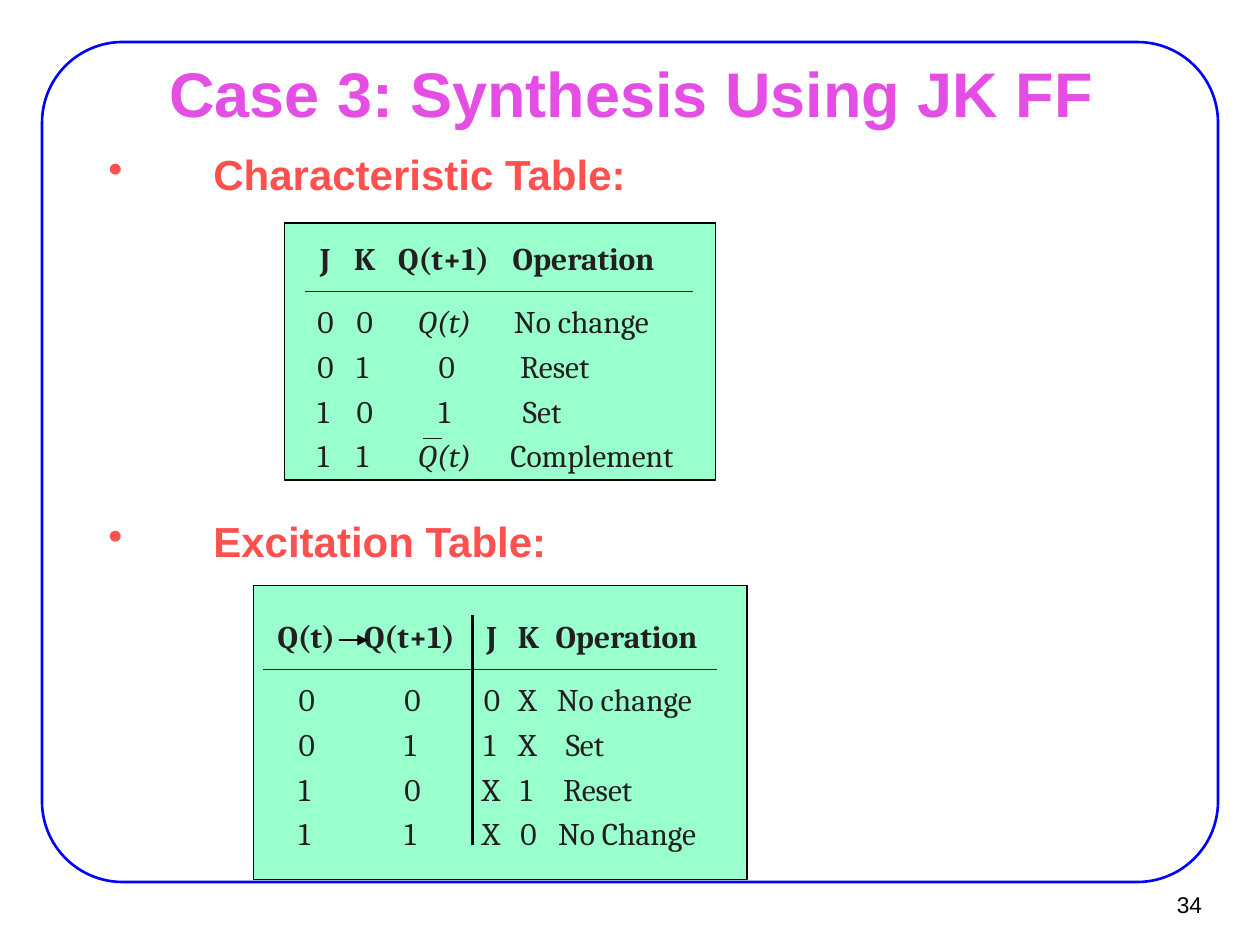
from lxml import etree
from pptx import Presentation
from pptx.dml.color import RGBColor
from pptx.enum.shapes import MSO_CONNECTOR, MSO_SHAPE
from pptx.enum.text import MSO_ANCHOR, MSO_AUTO_SIZE, PP_ALIGN
from pptx.oxml.ns import qn
from pptx.util import Pt

LEFT, CENTER, RIGHT = PP_ALIGN.LEFT, PP_ALIGN.CENTER, PP_ALIGN.RIGHT
TOP, MIDDLE = MSO_ANCHOR.TOP, MSO_ANCHOR.MIDDLE
FIT = MSO_AUTO_SIZE.SHAPE_TO_FIT_TEXT
RECT, ROUND = MSO_SHAPE.RECTANGLE, MSO_SHAPE.ROUNDED_RECTANGLE
STRAIGHT = MSO_CONNECTOR.STRAIGHT

BLUE = RGBColor(0x00, 0x00, 0xFF)
BLACK = RGBColor(0x00, 0x00, 0x00)
PINK = RGBColor(0xE4, 0x4E, 0xE4)
RED = RGBColor(0xFF, 0x50, 0x50)
MINT = RGBColor(0x99, 0xFF, 0xCC)
INK = RGBColor(0x23, 0x1F, 0x20)

# Symbols are centred in their column; words have a width and an indent
WIDTH = {"0": 10, "1": 10, "X": 12.4, "J": 7.2, "K": 13,
         "Q(t)": 34, "Q(t+1)": 56}
WORDS = {"Operation": (93, 0), "No change": (90, 0.7), "No Change": (92, 1.4),
         "Reset": (45, 4.3), "Set": (26, 5.8), "Complement": (109, -1.4)}
HEAD_GAP, ROW_GAP = 36, 25.5

# Column positions: middle of each symbol column, left of the last one
CHAR_COLS = (186.4, 208.8, 255.6, 293)
CHAR_ROWS = (
    ("J", "K", "Q(t+1)", "Operation"),
    ("0", "0", "Q(t)", "No change"),
    ("0", "1", "0", "Reset"),
    ("1", "0", "1", "Set"),
    ("1", "1", "Q(t)", "Complement"),
)
EXC_COLS = (175.6, 236.1, 281.5, 302.4, 317.5)
EXC_ROWS = (
    ("Q(t)", "Q(t+1)", "J", "K", "Operation"),
    ("0", "0", "0", "X", "No change"),
    ("0", "1", "1", "X", "Set"),
    ("1", "0", "X", "1", "Reset"),
    ("1", "1", "X", "0", "No Change"),
)


def write(shape, text, size=18, font="Cambria", color=INK, bold=False,
          italic=False, align=LEFT, anchor=TOP, inset=(0, 0), wrap=False,
          space=None, bullet=False):
    frame = shape.text_frame
    frame.word_wrap = wrap
    frame.vertical_anchor = anchor
    frame.margin_left = frame.margin_right = Pt(inset[0])
    frame.margin_top = frame.margin_bottom = Pt(inset[1])
    para = frame.paragraphs[0]
    para.alignment = align
    if space:
        para.line_spacing = space
    if bullet:
        props = para._p.get_or_add_pPr()
        props.set("marL", str(Pt(60)))
        props.set("indent", str(-Pt(60)))
        tint = etree.SubElement(props, qn("a:buClr"))
        etree.SubElement(tint, qn("a:srgbClr"), val=str(color))
        etree.SubElement(props, qn("a:buChar"), char="•")
    run = para.add_run()
    run.text = text
    run.font.size = Pt(size)
    run.font.name = font
    run.font.bold = bold
    run.font.italic = italic
    run.font.color.rgb = color


def add_text(slide, box, text, **form):
    write(slide.shapes.add_textbox(*map(Pt, box)), text, **form)


def add_box(slide, box, kind=RECT, fill=MINT, line=None, width=0.75):
    shape = slide.shapes.add_shape(kind, *map(Pt, box))
    shape.shadow.inherit = False
    if fill is None:
        shape.fill.background()
    else:
        shape.fill.solid()
        shape.fill.fore_color.rgb = fill
    if line is None:
        shape.line.fill.background()
    else:
        shape.line.color.rgb = line
        shape.line.width = Pt(width)
    return shape


def add_line(slide, ends, color=INK, width=0.5, arrow=False):
    line = slide.shapes.add_connector(STRAIGHT, *map(Pt, ends))
    line.line.color.rgb = color
    line.line.width = Pt(width)
    if arrow:
        etree.SubElement(line.line._get_or_add_ln(), qn("a:tailEnd"),
                         type="triangle")
    etree.SubElement(line._element.spPr, qn("a:effectLst"))


def add_cell(slide, mid, top, text, head):
    if text in WORDS:
        width, shift = WORDS[text]
    else:
        width = WIDTH[text]
        shift = -width / 2
    cell = add_box(slide, (mid + shift, top, width, 21.6))
    write(cell, text, bold=head, italic=text == "Q(t)" and not head)
    cell.text_frame.auto_size = FIT


def add_grid(slide, top, cols, rows):
    for i, row in enumerate(rows):
        y = top + (HEAD_GAP + (i - 1) * ROW_GAP if i else 0)
        for mid, text in zip(cols, row):
            add_cell(slide, mid, y, text, head=i == 0)


def main():
    deck = Presentation()
    deck.slide_width, deck.slide_height = Pt(720), Pt(540)
    slide = deck.slides.add_slide(deck.slide_layouts[6])

    # Frame, page number and title
    frame = add_box(slide, (24, 24, 672, 480), ROUND, None, BLUE, 1.5)
    frame.adjustments[0] = 0.096
    add_text(slide, (649.4, 503.3, 44, 26.6), "34", size=13, font="Arial",
             color=BLACK, align=RIGHT, anchor=MIDDLE, inset=(6.5, 3))
    add_text(slide, (54.7, 31.7, 612, 35.3), "Case 3: Synthesis Using JK FF",
             size=36, font="Arial", color=PINK, bold=True, align=CENTER,
             inset=(7.9, 4.3), wrap=True, space=0.9)

    # Section headings
    for top, text in ((84, "Characteristic Table:"),
                      (293.5, "Excitation Table:")):
        add_text(slide, (54, top, 527, 54.7), text, size=24, font="Arial",
                 color=RED, bold=True, inset=(7.9, 4.3), wrap=True,
                 space=0.9, bullet=True)

    # Characteristic table, with a bar over the last Q(t)
    add_box(slide, (162.7, 127.4, 246.2, 146.9), line=BLACK)
    add_grid(slide, 136.8, CHAR_COLS, CHAR_ROWS)
    add_line(slide, (174.2, 166.3, 396, 166.3))
    add_line(slide, (242, 250.6, 252.7, 250.6))

    # Excitation table, with its divider and the state arrow
    add_box(slide, (144.7, 334.8, 282.2, 167.8), line=BLACK)
    add_grid(slide, 352.8, EXC_COLS, EXC_ROWS)
    add_line(slide, (150.5, 382.3, 409.7, 382.3))
    add_line(slide, (270, 351.4, 270, 483.1), BLACK, 1.5)
    add_line(slide, (193.7, 365.8, 210.2, 365.8), BLACK, 0.75, arrow=True)

    deck.save("out.pptx")


if __name__ == "__main__":
    main()
